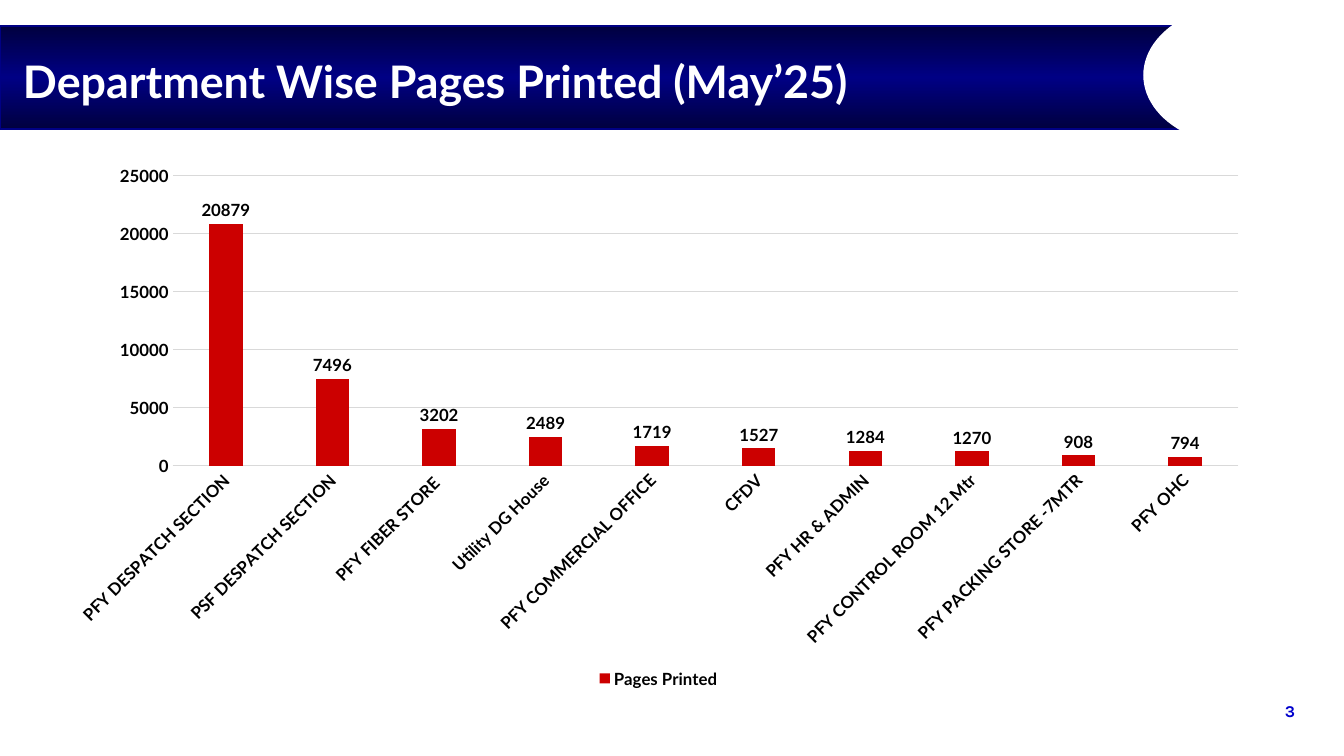
import copy
import pptx
import pptx.util
import pptx.dml.color
import pptx.chart.data
import pptx.enum.chart
import pptx.enum.shapes
import pptx.enum.text

Cm = pptx.util.Cm
Pt = pptx.util.Pt
enum = pptx.enum


def color(code):
    return pptx.dml.color.RGBColor.from_string(code)


def style(font, size, code, name="Lato"):
    font.size = Pt(size)
    font.bold = True
    font.name = name
    font.color.rgb = color(code)


deck = pptx.Presentation()
deck.slide_width = Cm(33.87)
deck.slide_height = Cm(19.05)
slide = deck.slides.add_slide(deck.slide_layouts[6])
shapes = slide.shapes

# Blue banner, dark at top and bottom
banner = shapes.add_shape(enum.shapes.MSO_SHAPE.RECTANGLE,
                          Cm(0), Cm(0.66), Cm(29.82), Cm(2.59))
banner.shadow.inherit = False
banner.fill.gradient()
banner.fill.gradient_angle = 90
first = banner.element.xpath(".//a:gs")[0]
first.addnext(copy.deepcopy(first))
for stop, (spot, code) in zip(banner.fill.gradient_stops,
                              [(0, "000040"), (0.5, "000084"), (1, "000040")]):
    stop.position = spot
    stop.color.rgb = color(code)
banner.line.color.rgb = color("000084")
banner.line.width = Pt(1.5)

# White bite out of the banner's right end
bite = shapes.add_shape(enum.shapes.MSO_SHAPE.OVAL,
                        Cm(28.83), Cm(0.13), Cm(4.95), Cm(3.53))
bite.shadow.inherit = False
bite.fill.solid()
bite.fill.fore_color.rgb = color("FFFFFF")
bite.line.color.rgb = color("FFFFFF")
bite.line.width = Pt(1)

# Title and page number
ALIGN = enum.text.PP_ALIGN
ANCHOR = enum.text.MSO_ANCHOR
texts = [
    ("Department Wise Pages Printed (May’25)", (0.58, 0.64, 27.99, 2.79),
     32, "FFFFFF", "Lato", ALIGN.LEFT, ANCHOR.MIDDLE, 0),
    ("3", (30.2, 17.53, 2.44, 0.76),
     11.8, "0000CC", "Karla", ALIGN.RIGHT, ANCHOR.TOP, 0.13),
]
for words, place, size, code, name, align, anchor, inset in texts:
    frame = shapes.add_textbox(*map(Cm, place)).text_frame
    frame.word_wrap = True
    frame.vertical_anchor = anchor
    frame.margin_left = frame.margin_right = 0
    frame.margin_top = frame.margin_bottom = Cm(inset)
    para = frame.paragraphs[0]
    para.alignment = align
    run = para.add_run()
    run.text = words
    style(run.font, size, code, name)

# Pages by department
pages = {
    "PFY DESPATCH SECTION": 20879,
    "PSF DESPATCH SECTION": 7496,
    "PFY FIBER STORE ": 3202,
    "Utility DG House": 2489,
    "PFY COMMERCIAL OFFICE": 1719,
    "CFDV": 1527,
    "PFY HR & ADMIN": 1284,
    "PFY CONTROL ROOM 12 Mtr": 1270,
    "PFY PACKING STORE -7MTR": 908,
    "PFY OHC": 794,
}
data = pptx.chart.data.CategoryChartData()
data.categories = list(pages)
data.add_series("Pages Printed", list(pages.values()))
chart = shapes.add_chart(enum.chart.XL_CHART_TYPE.COLUMN_CLUSTERED,
                         Cm(1.37), Cm(3.91), Cm(30.45), Cm(13.54), data).chart
style(chart.font, 10, "000000")
chart.has_title = False

# Columns and value labels
plot = chart.plots[0]
plot.gap_width = 219
plot.overlap = -27
plot.vary_by_categories = False
bars = plot.series[0]
bars.format.fill.solid()
bars.format.fill.fore_color.rgb = color("CC0000")
labels = bars.data_labels
labels.show_value = True
labels.position = enum.chart.XL_LABEL_POSITION.OUTSIDE_END
style(labels.font, 12, "000000")

# Axes
depts, count = chart.category_axis, chart.value_axis
for axis in (depts, count):
    axis.major_tick_mark = axis.minor_tick_mark = enum.chart.XL_TICK_MARK.NONE
    style(axis.tick_labels.font, 12, "000000")
count.minimum_scale = 0
count.maximum_scale = 25000
count.major_unit = 5000
count.format.line.fill.background()
for line in (depts.format.line, count.major_gridlines.format.line):
    line.color.rgb = color("D9D9D9")
    line.width = Pt(0.75)
slant = depts.tick_labels.font and chart.element.xpath(".//c:catAx/c:txPr/a:bodyPr")[0]
slant.set("rot", "-2700000")
slant.set("vert", "horz")

# Legend
chart.has_legend = True
chart.legend.position = enum.chart.XL_LEGEND_POSITION.BOTTOM
chart.legend.include_in_layout = False
style(chart.legend.font, 12, "000000")

deck.save("out.pptx")
